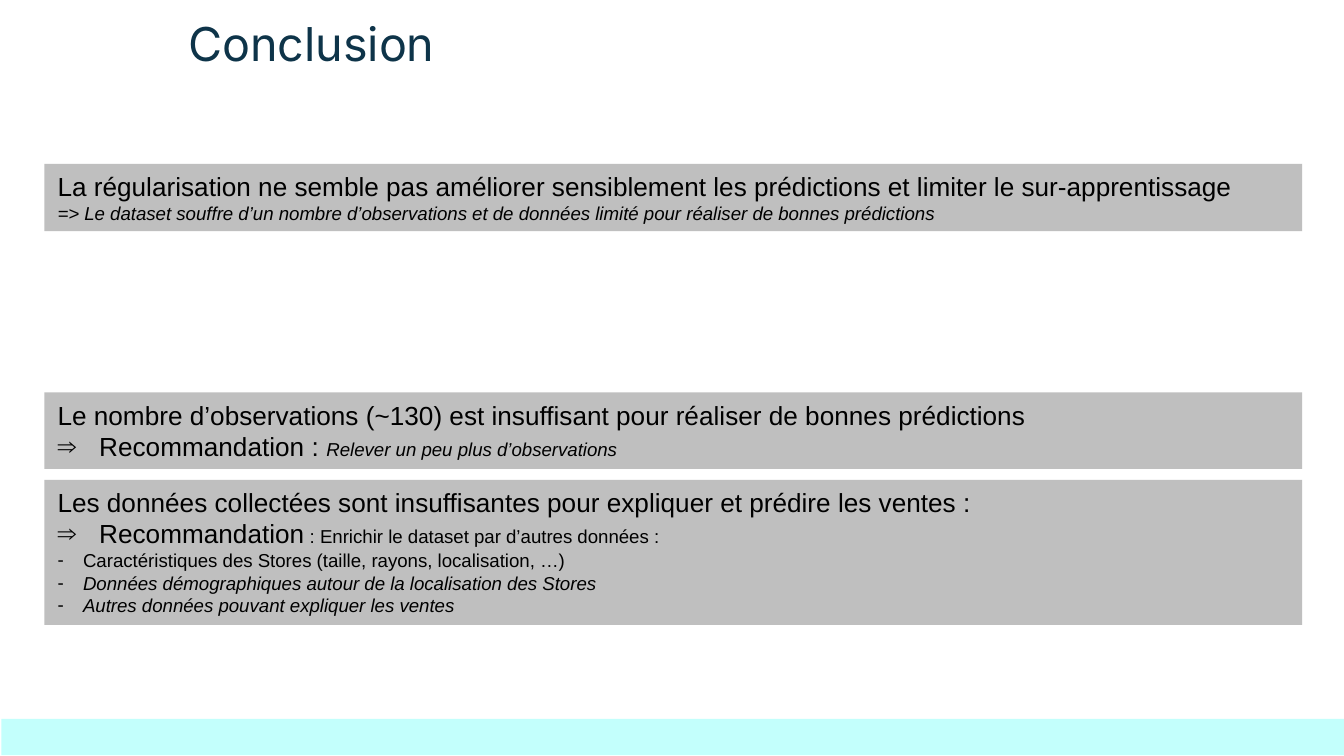
from pptx import Presentation
from pptx.dml.color import RGBColor
from pptx.enum.shapes import MSO_SHAPE as SHAPE
from pptx.enum.text import MSO_ANCHOR as ANCHOR, MSO_AUTO_SIZE as AUTO, PP_ALIGN as ALIGN
from pptx.oxml.ns import qn
from pptx.util import Inches, Pt
from lxml.etree import SubElement

BLACK, NAVY, GREY, CYAN = "000000", "0E3449", "BFBFBF", "C3FFFC"
SLIDE_W = 10
SLIDE_H = SLIDE_W * 9 / 16
LEFT, WIDTH = 0.33, 9.36
BIG, SMALL = 14, 10
INDENTS = {"⇒": 0.31, "-": 0.19}

BOXES = [
    (1.22, 0.5, [
        ("", [("La régularisation ne semble pas améliorer sensiblement les prédictions "
               "et limiter le sur-apprentissage", BIG, False)]),
        ("", [("=> Le dataset souffre d’un nombre d’observations et de données limité "
               "pour réaliser de bonnes prédictions", SMALL, True)]),
    ]),
    (2.92, 0.57, [
        ("", [("Le nombre d’observations (~130) est insuffisant pour réaliser "
               "de bonnes prédictions", BIG, False)]),
        ("⇒", [("Recommandation : ", BIG, False),
               ("Relever un peu plus d’observations", SMALL, True)]),
    ]),
    (3.57, 1.08, [
        ("", [("Les données collectées sont insuffisantes pour expliquer "
               "et prédire les ventes :", BIG, False)]),
        ("⇒", [("Recommandation", BIG, False),
               (" : Enrichir le dataset par d’autres données :", SMALL, False)]),
        ("-", [("Caractéristiques des Stores (taille, rayons, localisation, …)", SMALL, False)]),
        ("-", [("Données démographiques autour de la localisation des Stores", SMALL, True)]),
        ("-", [("Autres données pouvant expliquer les ventes", SMALL, True)]),
    ]),
]


def rgb(value):
    """Turn a hex string into a colour."""
    return RGBColor.from_string(value)


def add_run(p, text, size, font="Arial", color=BLACK, italic=False):
    """Append one formatted run to a paragraph."""
    r = p.add_run()
    r.text = text
    r.font.size, r.font.name, r.font.italic = Pt(size), font, italic
    r.font.color.rgb = rgb(color)


def set_bullet(p, char):
    """Give a paragraph a black bullet with a hanging indent."""
    p.level = 4
    pPr = p._p.get_or_add_pPr()
    indent = Inches(INDENTS[char])
    pPr.set("marL", str(indent))
    pPr.set("indent", str(-indent))
    SubElement(SubElement(pPr, qn("a:buClr")), qn("a:srgbClr"), val=BLACK)
    SubElement(pPr, qn("a:buFont"), typeface="Arial")
    SubElement(pPr, qn("a:buChar"), char=char)


def add_box(s, x, y, w, h, fill):
    """Add a plain filled rectangle."""
    sp = s.shapes.add_shape(SHAPE.RECTANGLE, Inches(x), Inches(y), Inches(w), Inches(h))
    sp.shadow.inherit = False
    sp.fill.solid()
    sp.fill.fore_color.rgb = rgb(fill)
    sp.line.fill.background()
    return sp


def add_title(s, x, y, w, h, text):
    """Move the title placeholder into its box and fill it."""
    sp = s.shapes.title
    sp.left, sp.top, sp.width, sp.height = map(Inches, (x, y, w, h))
    tf = sp.text_frame
    tf.margin_left = tf.margin_right = tf.margin_top = tf.margin_bottom = Inches(0.1)
    tf.vertical_anchor, tf.auto_size = ANCHOR.TOP, AUTO.NONE
    p = tf.paragraphs[0]
    p.alignment = ALIGN.LEFT
    add_run(p, text, 25, "Inter", NAVY)


def add_statement(s, x, y, w, h, lines):
    """Add a grey box holding a finding and its bulleted follow-ups."""
    tf = add_box(s, x, y, w, h, GREY).text_frame
    tf.word_wrap, tf.auto_size = True, AUTO.SHAPE_TO_FIT_TEXT
    tf.vertical_anchor = ANCHOR.TOP
    for i, (bullet, runs) in enumerate(lines):
        p = tf.add_paragraph() if i else tf.paragraphs[0]
        p.alignment = ALIGN.LEFT
        if bullet:
            set_bullet(p, bullet)
        for text, size, italic in runs:
            add_run(p, text, size, italic=italic)


def main():
    """Build the conclusion slide."""
    prs = Presentation()
    prs.slide_width, prs.slide_height = Inches(SLIDE_W), Inches(SLIDE_H)
    s = prs.slides.add_slide(prs.slide_layouts[0])
    subtitle = s.placeholders[1].element
    subtitle.getparent().remove(subtitle)
    add_title(s, 1.3, 0.01, 5.81, 0.58, "Conclusion")
    add_box(s, 0.01, 5.35, SLIDE_W, 0.27, CYAN)
    for top, height, lines in BOXES:
        add_statement(s, LEFT, top, WIDTH, height, lines)
    prs.save("out.pptx")


if __name__ == "__main__":
    main()
